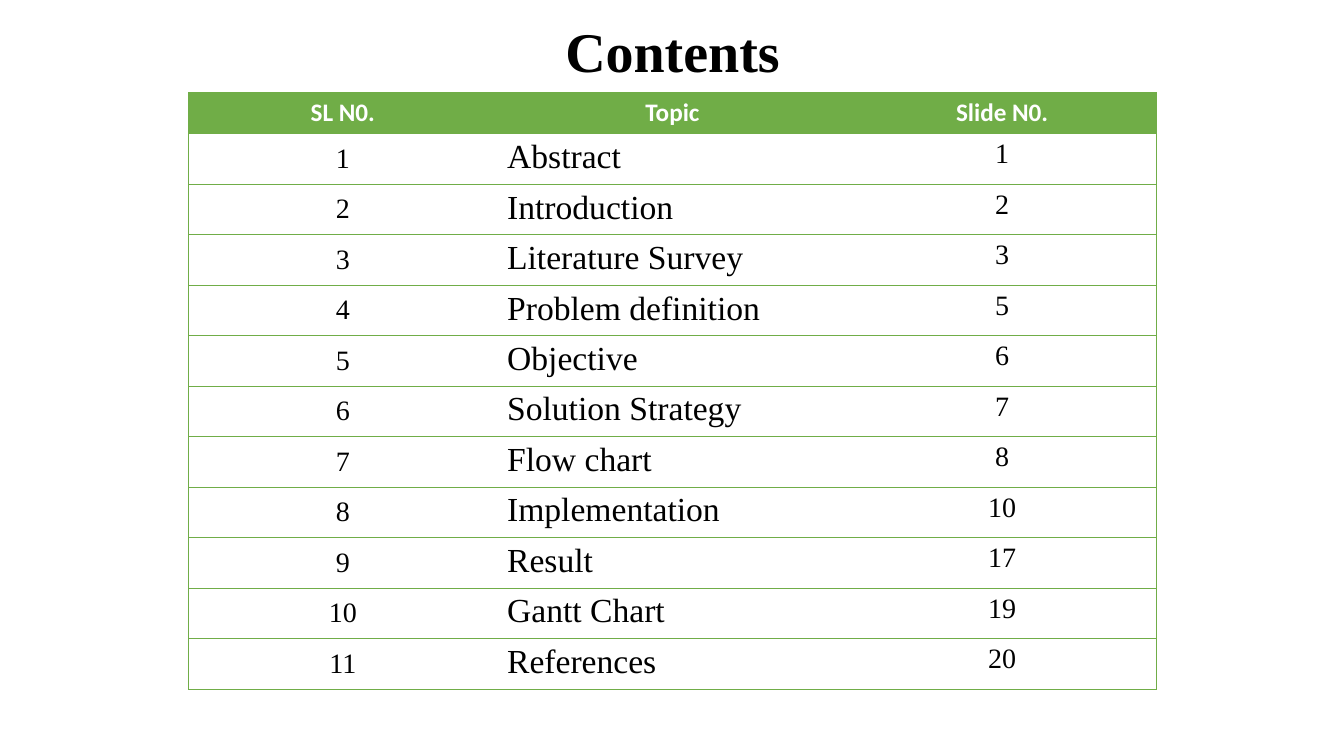
import pptx
import pptx.dml.color
import pptx.enum.text
import pptx.oxml
import pptx.oxml.ns
import pptx.util
from pptx.util import Inches

GREEN = "70AD47"
SERIF = "Times New Roman"
ALIGN = pptx.enum.text.PP_ALIGN
ANCHOR = pptx.enum.text.MSO_ANCHOR

HEADS = ["SL N0.", "Topic", "Slide N0."]
TOPICS = [
    ("Abstract", 1),
    ("Introduction", 2),
    ("Literature Survey", 3),
    ("Problem definition", 5),
    ("Objective", 6),
    ("Solution Strategy", 7),
    ("Flow chart", 8),
    ("Implementation", 10),
    ("Result", 17),
    ("Gantt Chart", 19),
    ("References", 20),
]
COLS = [3.06, 3.48, 3.06]
HEAD_H = 0.4
ROW_H = (5.91 - HEAD_H) / len(TOPICS)


def color(code):
    return pptx.dml.color.RGBColor.from_string(code)


def write(frame, text, size=20, font=SERIF, ink="000000", bold=False,
          align=ALIGN.CENTER, space=None):
    para = frame.paragraphs[0]
    para.alignment = align
    if space:
        para.line_spacing = space
    run = para.add_run()
    run.text = text
    run.font.size = pptx.util.Pt(size)
    run.font.name = font
    run.font.bold = bold
    run.font.color.rgb = color(ink)


def border(cell, sides):
    """Draw the named sides in green and clear the others."""
    props = cell._tc.get_or_add_tcPr()
    for side in "LRTB":
        if side in sides:
            paint = f'<a:solidFill><a:srgbClr val="{GREEN}"/></a:solidFill>'
        else:
            paint = "<a:noFill/>"
        props.append(pptx.oxml.parse_xml(
            f'<a:ln{side} {pptx.oxml.ns.nsdecls("a")} '
            f'w="{pptx.util.Pt(0.5)}">{paint}</a:ln{side}>'))


def add_title(slide, text):
    title = slide.shapes.title
    title.left, title.top = Inches(0.92), Inches(-0.01)
    title.width, title.height = Inches(11.5), Inches(1.1)
    title.text_frame.vertical_anchor = ANCHOR.MIDDLE
    write(title.text_frame, text, size=40, bold=True, space=0.9)


def add_grid(slide):
    frame = slide.shapes.add_table(
        len(TOPICS) + 1, len(COLS), Inches(1.87), Inches(0.92),
        Inches(sum(COLS)), Inches(5.91))
    table = frame.table
    table.horz_banding = False
    for col, width in zip(table.columns, COLS):
        col.width = Inches(width)
    for num, row in enumerate(table.rows):
        row.height = Inches(ROW_H if num else HEAD_H)

    # Outer frame and row rules, with no inner uprights
    for row in table.rows:
        for cell, sides in zip(row.cells, ["LTB", "TB", "RTB"]):
            border(cell, sides)

    # Header row
    for cell, text in zip(table.rows[0].cells, HEADS):
        cell.fill.solid()
        cell.fill.fore_color.rgb = color(GREEN)
        cell.vertical_anchor = ANCHOR.MIDDLE
        write(cell.text_frame, text, size=18, font="Calibri",
              ink="FFFFFF", bold=True)

    # Topic rows
    for num, (topic, page) in enumerate(TOPICS, 1):
        first, middle, last = table.rows[num].cells
        for cell in (first, middle, last):
            cell.fill.background()
        first.vertical_anchor = ANCHOR.MIDDLE
        write(first.text_frame, str(num))
        write(middle.text_frame, topic, size=24, align=ALIGN.JUSTIFY)
        write(last.text_frame, str(page))


def main():
    deck = pptx.Presentation()
    deck.slide_width, deck.slide_height = Inches(13.33), Inches(7.5)
    slide = deck.slides.add_slide(deck.slide_layouts[5])
    add_title(slide, "Contents")
    add_grid(slide)
    deck.save("out.pptx")


if __name__ == "__main__":
    main()
